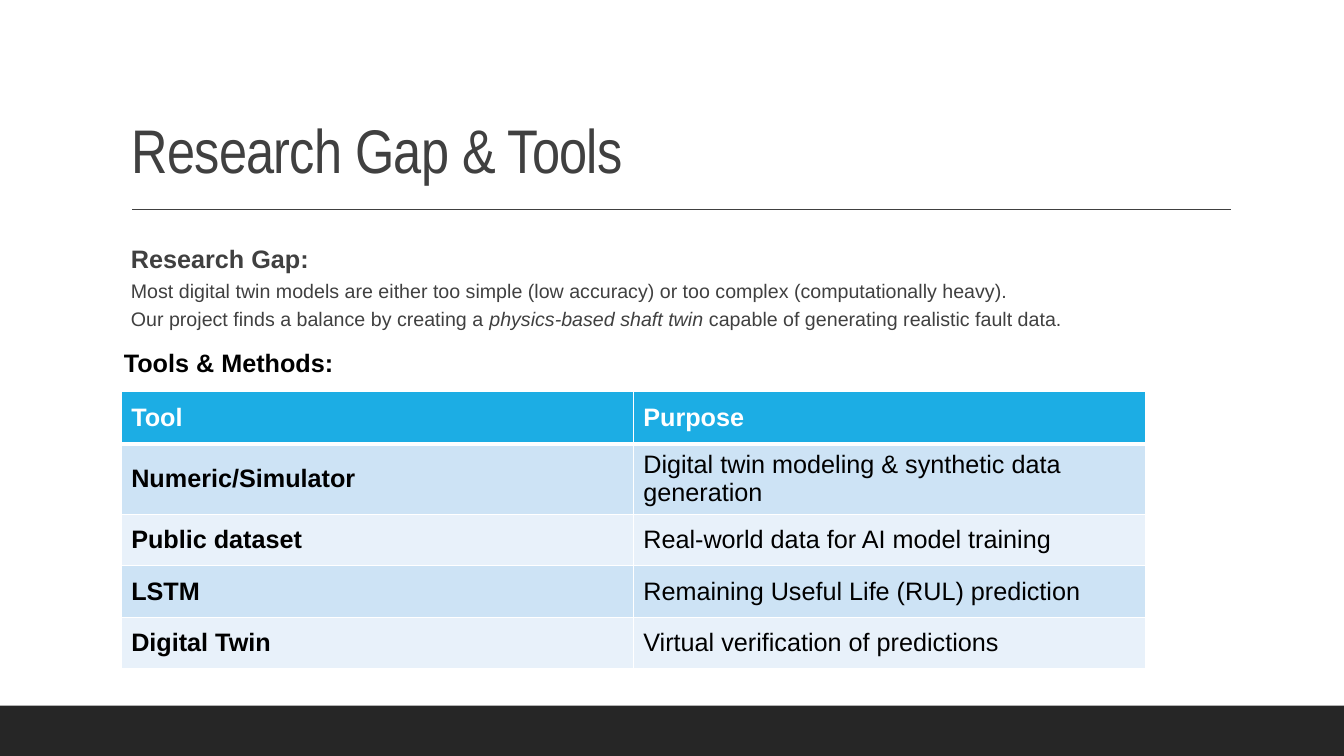
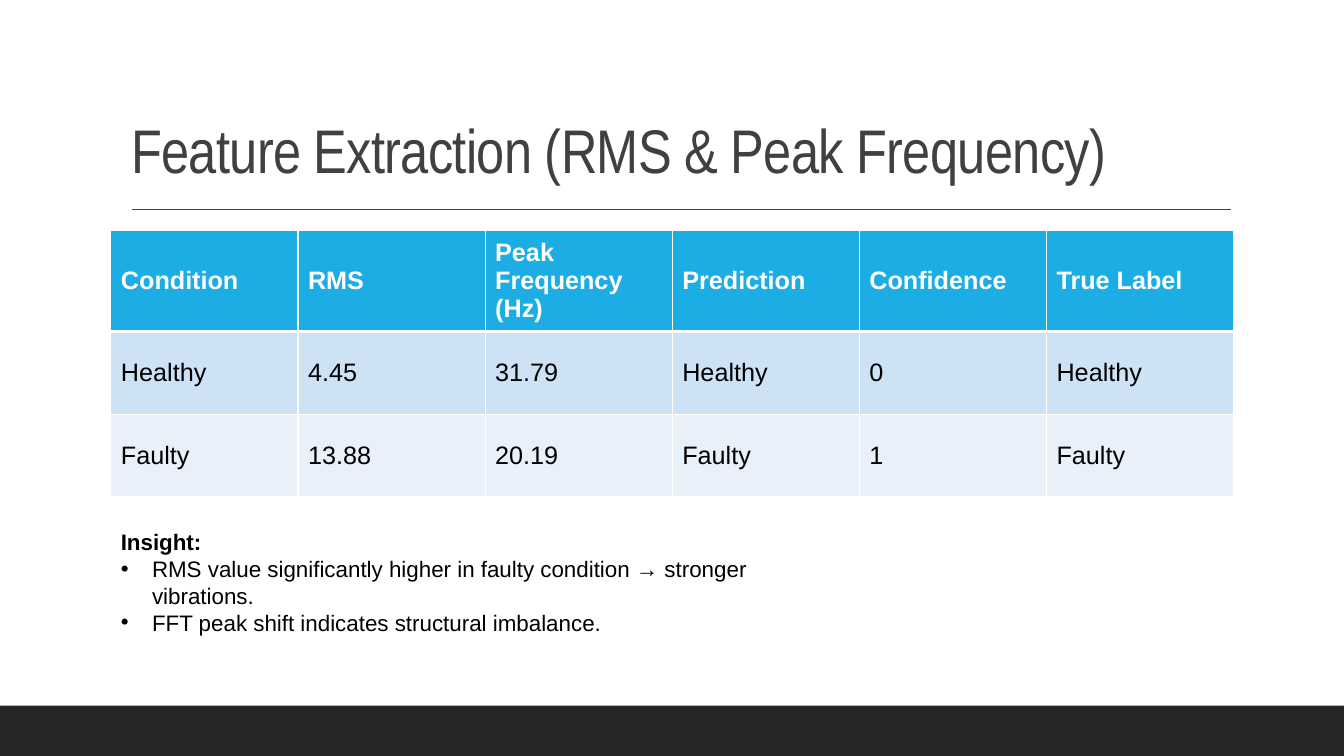
from pptx import Presentation
from pptx.dml.color import RGBColor as RGB
from pptx.enum.shapes import MSO_CONNECTOR as Conn, MSO_SHAPE as Geo
from pptx.enum.text import MSO_ANCHOR as Anchor
from pptx.oxml import parse_xml
from pptx.oxml.ns import nsdecls
from pptx.util import Inches, Pt

WIDE, HIGH = Inches(13.33), Inches(7.5)
DARK, GRAY, BLUE, WHITE, BLACK = "262626", "404040", "1CADE4", "FFFFFF", "000000"
BANDS = "CDE3F5", "E8F1FA"


def across(part):
    return round(WIDE * part / 100)


def down(part):
    return round(HIGH * part / 100)


def area(left, top, width, height):
    return across(left), down(top), across(width), down(height)


def tint(color, code):
    color.rgb = RGB.from_string(code)


def paint(fill, code):
    fill.solid()
    tint(fill.fore_color, code)


def style(run, size, code, bold=False, italic=False, face="Arial"):
    font = run.font
    font.name, font.size, font.bold, font.italic = face, Pt(size), bold, italic
    tint(font.color, code)


def text(slide, box, lines, anchor=Anchor.TOP):
    frame = slide.shapes.add_textbox(*area(*box)).text_frame
    frame.word_wrap = True
    frame.vertical_anchor = anchor
    frame.text = "\n".join(lines)
    return frame


def bullet(para):
    props = para._p.get_or_add_pPr()
    props.set("marL", str(Inches(0.31)))
    props.set("indent", str(Inches(-0.31)))
    props.append(parse_xml(f'<a:buFont {nsdecls("a")} typeface="Arial"/>'))
    props.append(parse_xml(f'<a:buChar {nsdecls("a")} char="•"/>'))


def edge(cell, side, width):
    cell._tc.get_or_add_tcPr().append(parse_xml(
        f'<a:ln{side} {nsdecls("a")} w="{Pt(width)}"><a:solidFill>'
        f'<a:srgbClr val="{WHITE}"/></a:solidFill></a:ln{side}>'))


def table(slide, box, rows, highs, lead=False):
    frame = slide.shapes.add_table(len(rows), len(rows[0]), *area(*box))
    grid = frame.table
    grid.horz_banding = False
    for row, high in zip(grid.rows, highs):
        row.height = down(high)
    for y, row in enumerate(rows):
        head = y == 0
        for x, word in enumerate(row):
            cell = grid.cell(y, x)
            for side in "LRTB":
                thick = head and side == "B" or y == 1 and side == "T"
                edge(cell, side, 3 if thick else 1)
            paint(cell.fill, BLUE if head else BANDS[(y - 1) % 2])
            cell.vertical_anchor = Anchor.MIDDLE
            cell.text_frame.text = word
            style(cell.text_frame.paragraphs[0].runs[0], 18,
                  WHITE if head else BLACK, head or lead and x == 0)


def base(deck, title):
    slide = deck.slides.add_slide(deck.slide_layouts[6])
    band = slide.shapes.add_shape(Geo.RECTANGLE, *area(0, 93.33, 100, 6.67))
    band.shadow.inherit = False
    paint(band.fill, DARK)
    band.line.fill.background()
    rule = slide.shapes.add_connector(
        Conn.STRAIGHT, across(9.83), down(27.68), across(91.57), down(27.68))
    rule.line.width = Pt(1)
    tint(rule.line.color, GRAY)
    rule._element.spPr.append(parse_xml(f'<a:effectLst {nsdecls("a")}/>'))
    para = text(slide, (9.03, 4.13, 82.5, 21.2), [title], Anchor.BOTTOM).paragraphs[0]
    para.line_spacing = 0.9
    run = para.runs[0]
    style(run, 44, GRAY, face="Arial Narrow")
    run._r.get_or_add_rPr().set("spc", "-50")
    return slide


def tools(deck):
    slide = base(deck, "Research Gap & Tools")
    frame = text(slide, (9, 30.8, 82.5, 14.53), [
        "Research Gap:",
        "Most digital twin models are either too simple (low accuracy) "
        "or too complex (computationally heavy).",
        "Our project finds a balance by creating a "])
    first, *rest = frame.paragraphs
    for word in "physics-based shaft twin", " capable of generating realistic fault data.":
        rest[-1].add_run().text = word
    for para in frame.paragraphs:
        para.line_spacing = 1.2
    style(first.runs[0], 18, GRAY, True)
    for para in rest:
        for spot, run in enumerate(para.runs):
            style(run, 14, GRAY, italic=spot == 1)
    label = text(slide, (8.48, 45.33, 21.9, 5.3), ["Tools & Methods:"], Anchor.MIDDLE)
    style(label.paragraphs[0].runs[0], 18, BLACK, True)
    table(slide, (9.02, 51.8, 76.2, 36.5), [
        ("Tool", "Purpose"),
        ("Numeric/Simulator", "Digital twin modeling & synthetic data generation"),
        ("Public dataset", "Real-world data for AI model training"),
        ("LSTM", "Remaining Useful Life (RUL) prediction"),
        ("Digital Twin", "Virtual verification of predictions"),
    ], [6.9, 9.2, 6.8, 6.8, 6.8], lead=True)


def traits(deck):
    slide = base(deck, "Feature Extraction (RMS & Peak Frequency)")
    table(slide, (8.25, 30.5, 83.55, 35.2), [
        ("Condition", "RMS", "Peak Frequency (Hz)", "Prediction", "Confidence", "True Label"),
        ("Healthy", "4.45", "31.79", "Healthy", "0", "Healthy"),
        ("Faulty", "13.88", "20.19", "Faulty", "1", "Faulty"),
    ], [10.95] * 3)
    frame = text(slide, (8.25, 69.2, 54.75, 18.4), [
        "Insight:",
        "RMS value significantly higher in faulty condition → stronger vibrations.",
        "FFT peak shift indicates structural imbalance."])
    for spot, para in enumerate(frame.paragraphs):
        style(para.runs[0], 16, BLACK, spot == 0)
        if spot:
            bullet(para)


def main():
    deck = Presentation()
    deck.slide_width, deck.slide_height = WIDE, HIGH
    tools(deck)
    traits(deck)
    deck.save("out.pptx")


if __name__ == "__main__":
    main()
